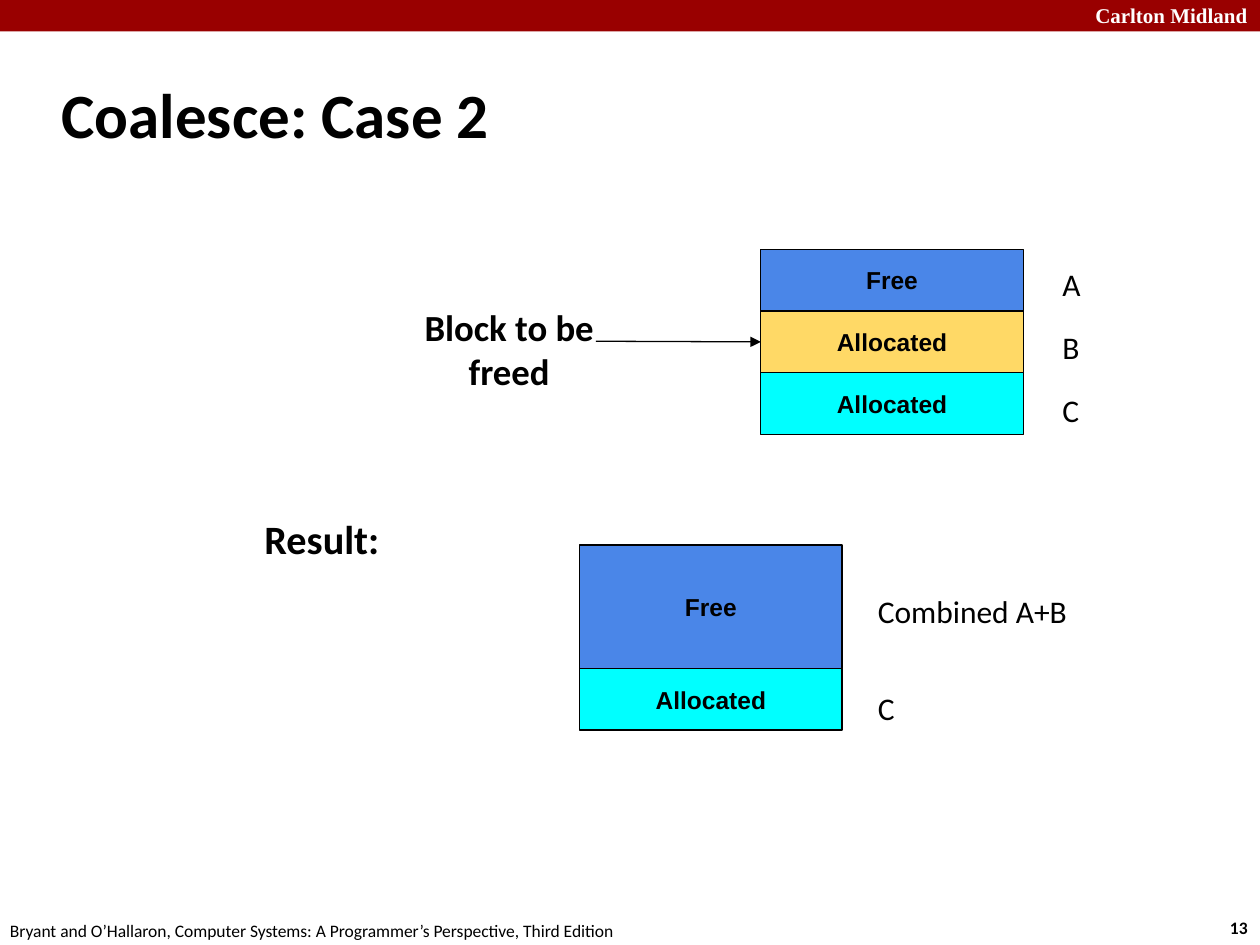
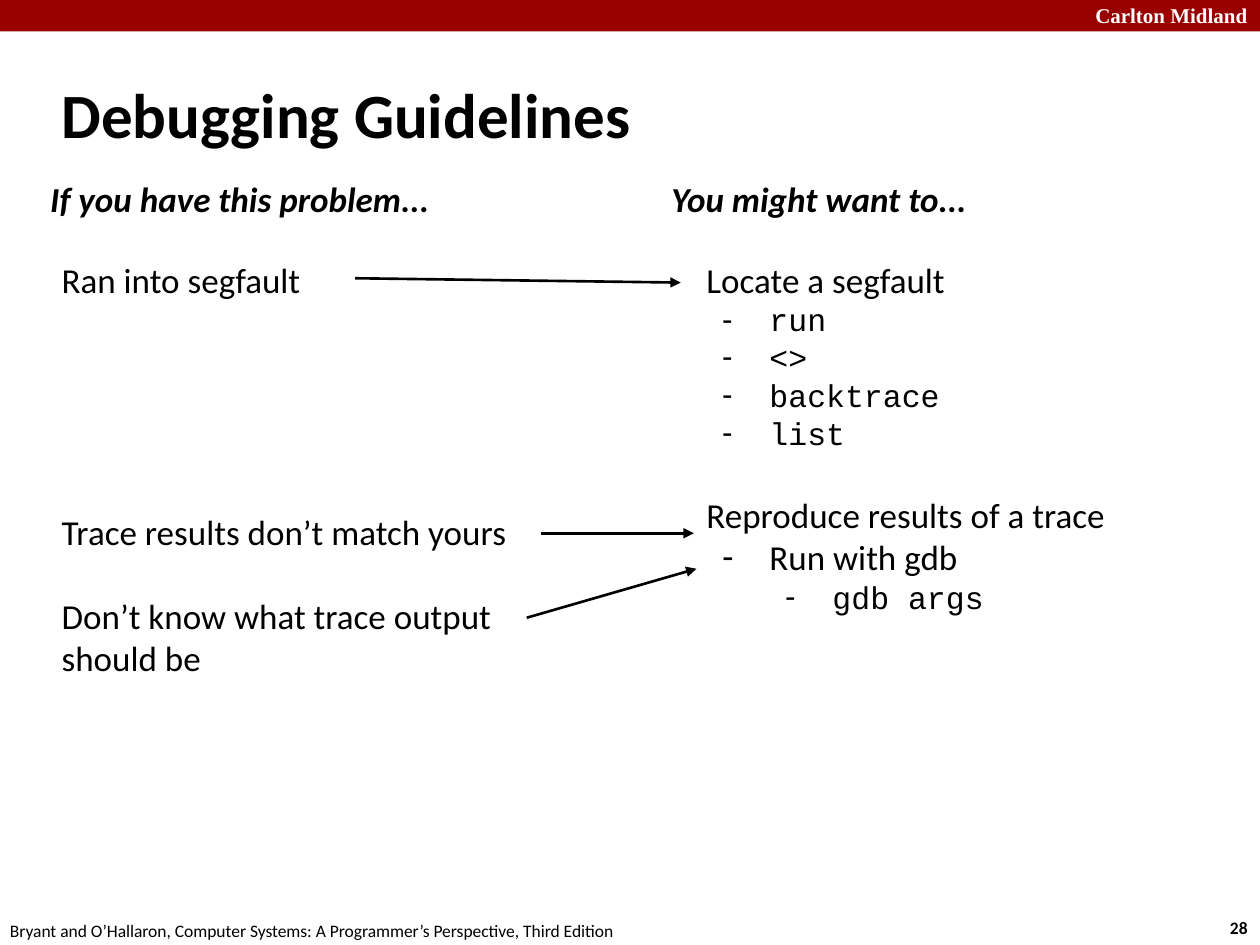
"""Build two lecture slides: block coalescing and debugging guidelines."""
from dataclasses import dataclass

from lxml import etree
from pptx import Presentation
from pptx.dml.color import RGBColor
from pptx.enum.shapes import MSO_CONNECTOR, MSO_SHAPE
from pptx.enum.text import MSO_ANCHOR, MSO_AUTO_SIZE, PP_ALIGN
from pptx.oxml.ns import qn
from pptx.util import Pt

RECT = MSO_SHAPE.RECTANGLE
STRAIGHT = MSO_CONNECTOR.STRAIGHT
LEFT, CENTER, RIGHT = PP_ALIGN.LEFT, PP_ALIGN.CENTER, PP_ALIGN.RIGHT
TOP, MIDDLE = MSO_ANCHOR.TOP, MSO_ANCHOR.MIDDLE
NO_FIT = MSO_AUTO_SIZE.NONE


@dataclass(frozen=True)
class Theme:
    band: RGBColor = RGBColor(0x99, 0x00, 0x00)
    ink: RGBColor = RGBColor(0x00, 0x00, 0x00)
    paper: RGBColor = RGBColor(0xFF, 0xFF, 0xFF)
    free: RGBColor = RGBColor(0x4A, 0x86, 0xE8)
    freeing: RGBColor = RGBColor(0xFF, 0xD9, 0x66)
    allocated: RGBColor = RGBColor(0x00, 0xFF, 0xFF)
    font: str = "Calibri"
    block_font: str = "Arial"
    code_font: str = "Courier New"
    band_font: str = "Times New Roman"
    title: int = 36
    result: int = 23
    callout: int = 21
    body: int = 20
    label: int = 18
    code: int = 18
    block: int = 14
    school: int = 12
    footer: int = 10


T = Theme()


def put_text(sp, box, lines, size, font=T.font, color=T.ink, bold=False,
             italic=False, align=LEFT, anchor=TOP, inset=3.6):
    """Place a shape and write (text, space before, bullet indent, code) lines in it."""
    sp.left, sp.top, sp.width, sp.height = [Pt(v) for v in box]
    tf = sp.text_frame
    tf.word_wrap, tf.auto_size, tf.vertical_anchor = True, NO_FIT, anchor
    tf.margin_left = tf.margin_right = Pt(7.2)
    tf.margin_top = tf.margin_bottom = Pt(inset)
    for i, (text, before, indent, code) in enumerate(lines):
        p = tf.add_paragraph() if i else tf.paragraphs[0]
        p.text, p.alignment, p.space_before = text, align, Pt(before)
        p.level = 1 if indent > 36 else 0
        p.font.size = Pt(T.code if code else size)
        p.font.name = T.code_font if code else font
        p.font.bold, p.font.italic, p.font.color.rgb = bold, italic, color
        pPr = p._p.get_or_add_pPr()
        pPr.set("marL", str(Pt(indent)))
        pPr.set("indent", str(Pt(-27 if indent else 0)))
        bullet = etree.Element(qn("a:buChar" if indent else "a:buNone"))
        if indent:
            bullet.set("char", "-")
        pPr.find(qn("a:defRPr")).addprevious(bullet)


def add_arrow(s, x1, y1, x2, y2, weight):
    """Draw a straight arrow without a shadow."""
    cx = s.shapes.add_connector(STRAIGHT, Pt(x1), Pt(y1), Pt(x2), Pt(y2))
    cx.line.color.rgb, cx.line.width = T.ink, Pt(weight)
    etree.SubElement(cx.line._get_or_add_ln(), qn("a:tailEnd"), type="triangle")
    etree.SubElement(cx._element.spPr, qn("a:effectLst"))
    return cx


prs = Presentation()
prs.slide_width, prs.slide_height = Pt(720), Pt(540)
TITLE_ONLY, COMPARISON = prs.slide_layouts[5], prs.slide_layouts[4]
FOOTER = "Bryant and O’Hallaron, Computer Systems: A Programmer’s Perspective, Third Edition"

for layout, title, number in [(TITLE_ONLY, "Coalesce: Case 2", "13"),
                              (COMPARISON, "Debugging Guidelines", "28")]:
    s = prs.slides.add_slide(layout)
    put_text(s.shapes.title, (28, 34.5, 598, 60), [(title, 0, 0, False)], T.title,
             bold=True, anchor=MIDDLE)
    band = s.shapes.add_shape(RECT, 0, 0, prs.slide_width, Pt(18))
    band.shadow.inherit = False
    band.fill.solid()
    band.fill.fore_color.rgb = T.band
    band.line.fill.background()
    for text, box, size, font, color, bold, align in [
        ("Carlton Midland", (600, -2, 120, 22), T.school, T.band_font, T.paper, True, RIGHT),
        (number, (680, 520.5, 40, 19.5), T.footer, T.font, T.ink, True, RIGHT),
        (FOOTER, (-1.4, 522, 390, 18), T.footer, T.font, T.ink, False, LEFT),
    ]:
        put_text(s.shapes.add_textbox(0, 0, 0, 0), box, [(text, 0, 0, False)], size,
                 font, color, bold, align=align)

coalesce, debugging = prs.slides

s = coalesce
UNIT, BLOCK_W = 35.25, 150
before_blocks = [("Free", T.free, 1), ("Allocated", T.freeing, 1), ("Allocated", T.allocated, 1)]
after_blocks = [("Free", T.free, 2), ("Allocated", T.allocated, 1)]
for left, top, blocks in [(434.75, 142.5, before_blocks), (331.25, 311.5, after_blocks)]:
    for text, fill, units in blocks:
        sp = s.shapes.add_shape(RECT, 0, 0, 0, 0)
        sp.shadow.inherit = False
        sp.fill.solid()
        sp.fill.fore_color.rgb = fill
        sp.line.color.rgb, sp.line.width = T.ink, Pt(0.75)
        put_text(sp, (left, top, BLOCK_W, units * UNIT), [(text, 0, 0, False)], T.block,
                 T.block_font, bold=True, align=CENTER, anchor=MIDDLE, inset=7.2)
        if fill == T.freeing:
            freed_block = sp
        top += units * UNIT

cx = add_arrow(s, 340.5, 195, 434.75, 195.5, 0.75)
cx.end_connect(freed_block, 1)

labels = [("Block to be freed", (227, 167, 128, 81.5), T.callout, True, CENTER),
          ("Result:", (144, 286.5, 143, 53), T.result, True, LEFT),
          ("Combined A+B", (494.5, 331, 123, 30), T.label, False, LEFT),
          ("C", (494.5, 386.5, 123, 30), T.label, False, LEFT)]
labels += [(name, (600, 144 + 36.25 * i, 26, 24), T.label, False, LEFT)
           for i, name in enumerate("ABC")]
for text, box, size, bold, align in labels:
    put_text(s.shapes.add_textbox(0, 0, 0, 0), box, [(text, 0, 0, False)], size,
             bold=bold, align=align, inset=7.2)

s = debugging
for idx, left, text in [(1, 21.5, "If you have this problem..."),
                        (3, 376.5, "You might want to...")]:
    put_text(s.placeholders[idx], (left, 98, 324, 46), [(text, 3.6, 0, False)], T.body,
             bold=True, italic=True)

LINE = 24
problems = [("Ran into segfault", 0, 0, False),
            ("Trace results don’t match yours", 5 * LINE, 0, False),
            ("Don’t know what trace output should be", LINE, 0, False)]
commands = [(name, 0, 36, True) for name in ("run", "<>", "backtrace", "list")]
remedies = [("Locate a segfault", 0, 0, False), *commands,
            ("Reproduce results of a trace", LINE, 0, False),
            ("Run with gdb", 0, 36, False),
            ("gdb args", 0, 72, True)]
put_text(s.placeholders[2], (28, 144, 281, 322), problems, T.body)
put_text(s.placeholders[4], (396.5, 144, 269.5, 322), remedies, T.body)

for ends in [(203, 159, 389, 161.5), (309, 304.75, 396.5, 304.75), (301, 353, 398, 325)]:
    add_arrow(s, *ends, 1.5)

prs.save("out.pptx")
